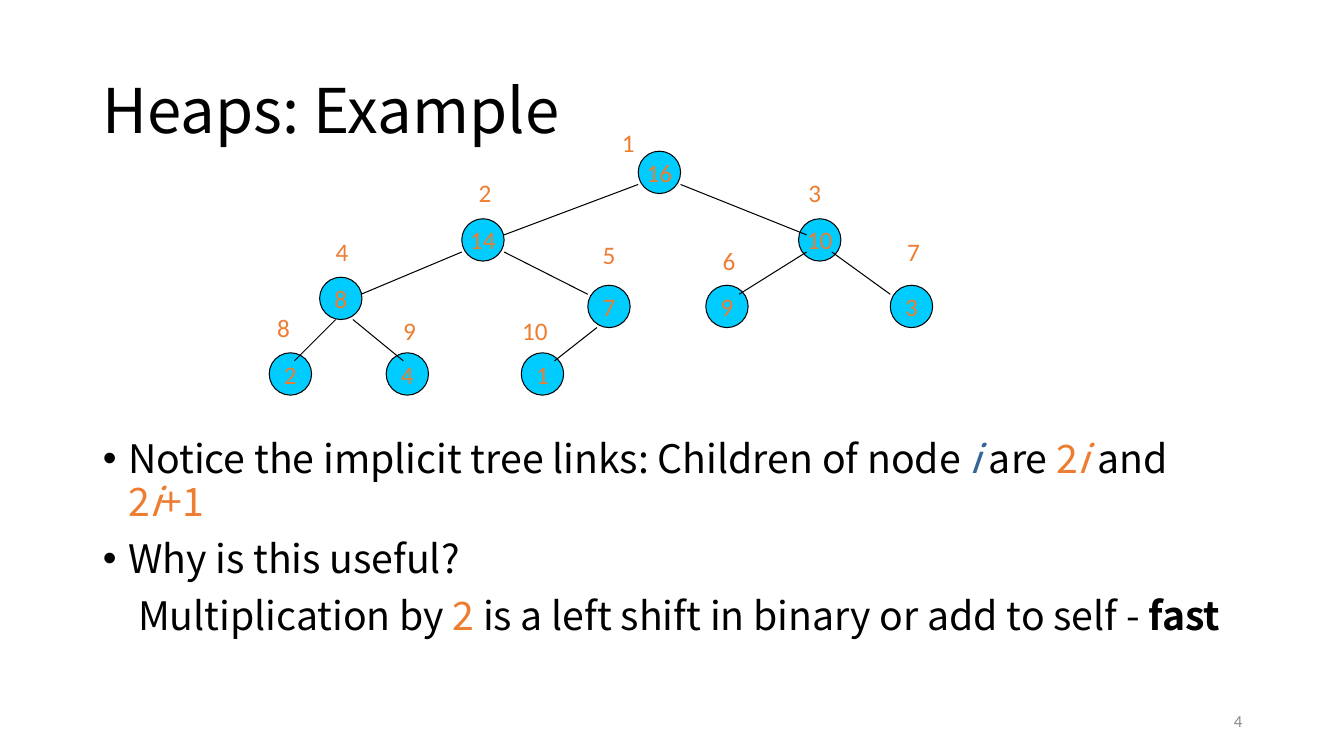
from pptx import Presentation
from pptx.dml.color import RGBColor
from pptx.enum.shapes import MSO_CONNECTOR, MSO_SHAPE
from pptx.enum.text import MSO_ANCHOR, MSO_AUTO_SIZE, PP_ALIGN
from pptx.oxml.ns import qn
from pptx.util import Inches, Pt
from lxml import etree

BLACK, ORANGE, BLUE, CYAN, GRAY = "000000", "ED7D31", "336699", "00CCFF", "898989"
HEADING_FONT, TREE_FONT = "Noto Sans CJK SC", "Calibri"
NODE = Inches(0.42)


def color(value):
    """Turn a hex string into an RGB colour."""
    return RGBColor.from_string(value)


def style(r, size, font, value):
    """Set size, font and colour of a run."""
    r.font.size, r.font.name = Pt(size), font
    r.font.color.rgb = color(value)


prs = Presentation()
prs.slide_width, prs.slide_height = Inches(13.33), Inches(7.5)
s = prs.slides.add_slide(prs.slide_layouts[1])

# Title
title = s.shapes.title
title.left, title.top, title.width, title.height = map(Inches, (0.92, 0.4, 11.5, 1.45))
tf = title.text_frame
tf.text = "Heaps: Example"
tf.auto_size = MSO_AUTO_SIZE.NONE
tf.vertical_anchor = MSO_ANCHOR.MIDDLE
p = tf.paragraphs[0]
p.alignment, p.line_spacing = PP_ALIGN.LEFT, 0.9
style(p.runs[0], 44, HEADING_FONT, BLACK)

# Body: the top inset leaves room for the tree; runs are (text, colour, emphasis)
body = s.placeholders[1]
body.left, body.top, body.width, body.height = map(Inches, (0.92, 2, 11.5, 4.76))
tf = body.text_frame
tf.auto_size = MSO_AUTO_SIZE.NONE
tf.vertical_anchor = MSO_ANCHOR.TOP
tf.margin_top = Inches(2.35)
# Each paragraph: bulleted, left margin, first-line indent, space before, runs
paragraphs = [
    (True, 0.25, -0.25, 0, [
        ("Notice the implicit tree links: Children of node ", BLACK, ""),
        ("i", BLUE, "i"), (" are ", BLACK, ""),
        ("2", ORANGE, ""), ("i", ORANGE, "i"), (" and ", BLACK, ""),
        ("2", ORANGE, ""), ("i", ORANGE, "i"), ("+1", ORANGE, "")]),
    (True, 0.25, -0.25, 10, [("Why is this useful?", BLACK, "")]),
    (False, 0.35, 0, 10, [
        ("Multiplication by ", BLACK, ""), ("2", ORANGE, ""),
        (" is a left shift in binary or add to self - ", BLACK, ""),
        ("fast", BLACK, "b")]),
]
for n, (bulleted, margin, indent, before, runs) in enumerate(paragraphs):
    p = tf.add_paragraph() if n else tf.paragraphs[0]
    p.line_spacing, p.space_before = Pt(30.7), Pt(before)
    pPr = p._p.get_or_add_pPr()
    pPr.set("marL", str(Inches(margin)))
    pPr.set("indent", str(Inches(indent)))
    if bulleted:
        etree.SubElement(pPr, qn("a:buFont")).set("typeface", "Arial")
        etree.SubElement(pPr, qn("a:buChar")).set("char", "•")
    else:
        etree.SubElement(pPr, qn("a:buNone"))
    for text, value, emphasis in runs:
        r = p.add_run()
        r.text = text
        style(r, 28, HEADING_FONT, value)
        r.font.italic, r.font.bold = emphasis == "i", emphasis == "b"

# Heap in index order: value, node left and top, index label left and top
heap = [
    (16, 6.33, 1.5, 6.07, 1.21),
    (14, 4.58, 2.17, 4.65, 1.71),
    (10, 7.92, 2.17, 7.92, 1.71),
    (8, 3.17, 2.75, 3.23, 2.3),
    (7, 5.83, 2.83, 5.88, 2.33),
    (9, 7, 2.83, 7.07, 2.38),
    (3, 8.83, 2.83, 8.9, 2.3),
    (2, 2.67, 3.5, 2.65, 3.05),
    (4, 3.83, 3.5, 3.9, 3.08),
    (1, 5.17, 3.5, 5.08, 3.08),
]
edges = [
    (6.33, 1.83, 5, 2.33), (6.75, 1.83, 8, 2.33),
    (4.58, 2.5, 3.58, 2.92), (5, 2.5, 5.83, 2.92),
    (8, 2.5, 7.33, 2.92), (8.25, 2.5, 8.83, 2.92),
    (3.33, 3.17, 2.92, 3.58), (3.5, 3.17, 4, 3.58),
    (5.92, 3.25, 5.5, 3.58),
]
tree = s.shapes.add_group_shape().shapes
for value, left, top, _, _ in heap:
    node = tree.add_shape(MSO_SHAPE.OVAL, Inches(left), Inches(top), NODE, NODE)
    node.shadow.inherit = False
    node.fill.solid()
    node.fill.fore_color.rgb = color(CYAN)
    node.line.color.rgb = color(BLACK)
    node.line.width = Pt(0.75)
    tf = node.text_frame
    tf.text = str(value)
    tf.word_wrap = False
    tf.vertical_anchor = MSO_ANCHOR.MIDDLE
    tf.paragraphs[0].alignment = PP_ALIGN.CENTER
    style(tf.paragraphs[0].runs[0], 18, TREE_FONT, ORANGE)

for edge in edges:
    link = tree.add_connector(MSO_CONNECTOR.STRAIGHT, *map(Inches, edge))
    link.line.color.rgb = color(BLACK)
    link.line.width = Pt(0.75)
    etree.SubElement(link._element.spPr, qn("a:effectLst"))

for index, (_, _, _, left, top) in enumerate(heap, 1):
    width = 0.33 if index < 10 else 0.46
    label = tree.add_textbox(*map(Inches, (left, top, width, 0.4)))
    tf = label.text_frame
    tf.text = str(index)
    tf.word_wrap = False
    tf.auto_size = MSO_AUTO_SIZE.SHAPE_TO_FIT_TEXT
    style(tf.paragraphs[0].runs[0], 18, TREE_FONT, ORANGE)

# Slide number
number = s.shapes.add_textbox(*map(Inches, (9.42, 6.95, 3, 0.4)))
tf = number.text_frame
tf.text = "4"
tf.word_wrap = True
tf.vertical_anchor = MSO_ANCHOR.MIDDLE
tf.paragraphs[0].alignment = PP_ALIGN.RIGHT
style(tf.paragraphs[0].runs[0], 12, TREE_FONT, GRAY)

prs.save("out.pptx")
